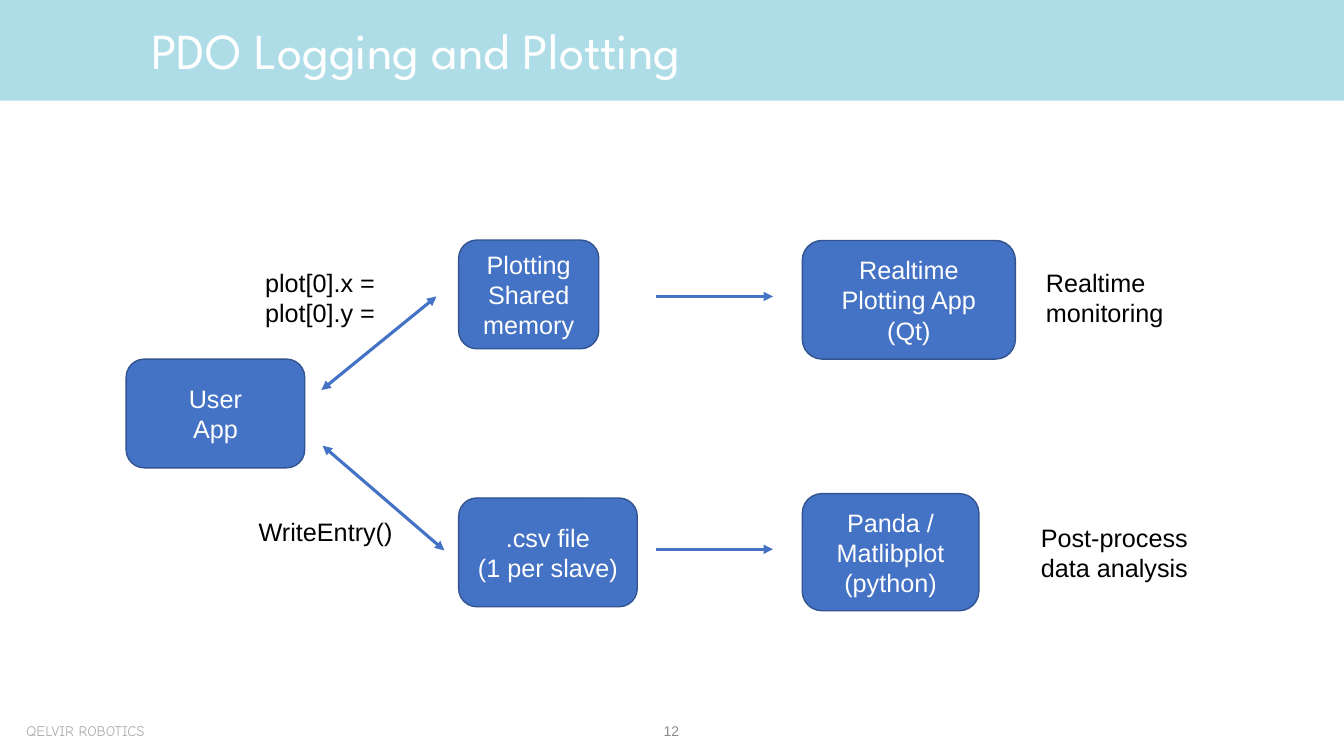
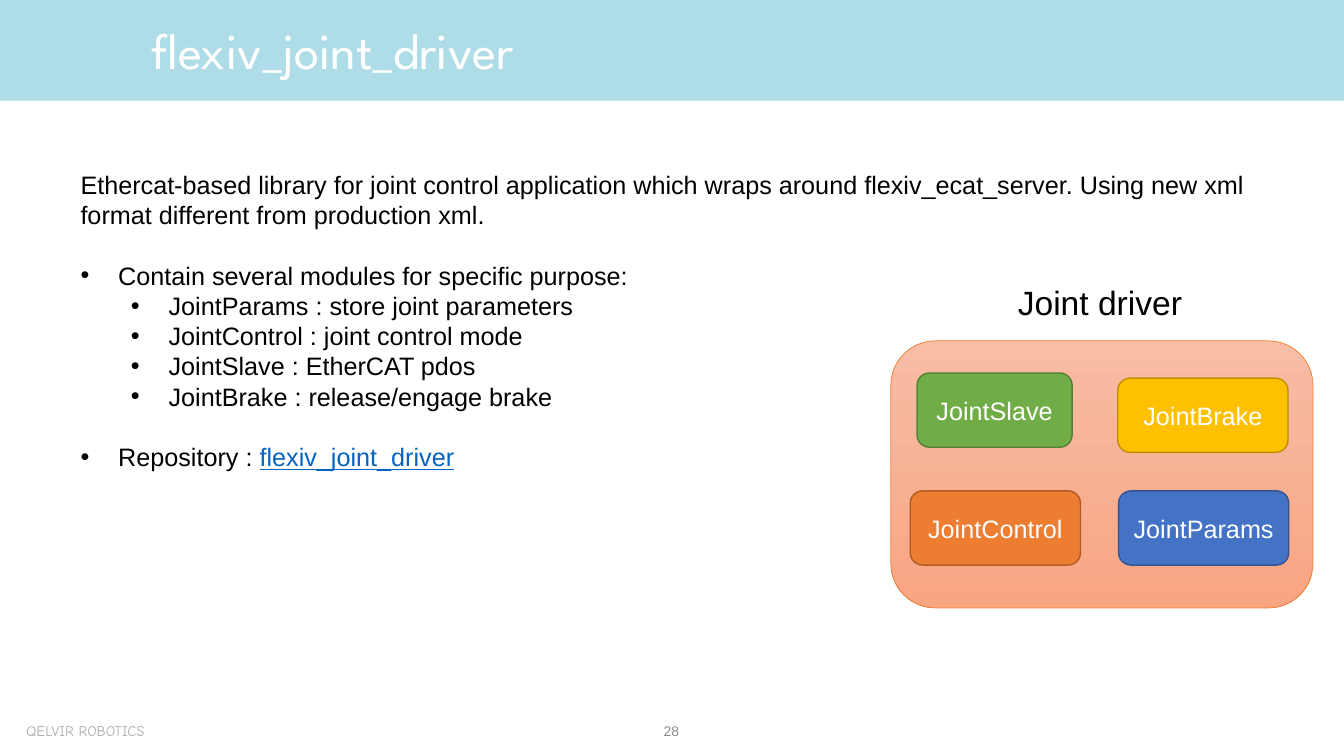
from dataclasses import dataclass

import pptx
import pptx.dml.color
import pptx.enum.shapes
import pptx.enum.text
import pptx.oxml
import pptx.oxml.ns
import pptx.util

Cm = pptx.util.Cm
Pt = pptx.util.Pt
Shapes = pptx.enum.shapes.MSO_SHAPE
Align = pptx.enum.text.PP_ALIGN
Anchor = pptx.enum.text.MSO_ANCHOR


@dataclass(frozen=True)
class Theme:
    body_font: str = "Arial"
    title_font: str = "League Spartan"
    footer_font: str = "Comic Neue"
    title_size: float = 36
    heading_size: float = 24
    body_size: float = 18
    footer_size: float = 10.5
    number_size: float = 10
    line_pitch: float = 21.6
    band: str = "AEDDE8"
    white: str = "FFFFFF"
    black: str = "000000"
    footer: str = "AFABAB"
    number: str = "8C8C8C"
    link: str = "0563C1"
    blue: str = "4472C4"
    blue_edge: str = "325491"
    green: str = "70AD47"
    green_edge: str = "538035"
    gold: str = "FFC000"
    gold_edge: str = "BD8E00"
    orange: str = "ED7D31"
    orange_edge: str = "AF5C24"
    panel_top: str = "F7BDA5"
    panel_bottom: str = "F8A582"


def rgb(color):
    return pptx.dml.color.RGBColor.from_string(color)


def add_element(parent, tag, **attributes):
    element = pptx.oxml.parse_xml(f"<a:{tag} {pptx.oxml.ns.nsdecls('a')}/>")
    for name, value in attributes.items():
        element.set(name, value)
    parent.append(element)


class Deck:
    width, height = 33.87, 19.05

    def __init__(self, theme):
        self.theme = theme
        self.presentation = pptx.Presentation()
        self.presentation.slide_width = Cm(self.width)
        self.presentation.slide_height = Cm(self.height)
        self.slide = None

    def start_slide(self, title, number):
        theme = self.theme
        layout = self.presentation.slide_layouts[6]
        self.slide = self.presentation.slides.add_slide(layout)
        self.shape(Shapes.RECTANGLE, (0, 0, self.width, 2.54), theme.band)
        self.text((3.56, 0.36, 17.25, 1.8), [title], theme.title_size,
                  theme.white, theme.title_font)
        self.text((0.41, 18.06, 4.47, 0.71), ["QELVIR ROBOTICS"],
                  theme.footer_size, theme.footer, theme.footer_font)
        frame = self.text((13.11, 17.91, 7.62, 1.02), [number],
                          theme.number_size, theme.number, align=Align.CENTER)
        frame.vertical_anchor = Anchor.MIDDLE

    def run(self, paragraph, text, size, color, font=None, underline=None):
        run = paragraph.add_run()
        run.text = text
        run.font.size = Pt(size)
        run.font.name = font or self.theme.body_font
        run.font.color.rgb = rgb(color)
        run.font.underline = underline

    def fill_frame(self, frame, lines, size, color, font=None, align=None):
        frame.word_wrap = True
        for index, line in enumerate(lines):
            paragraph = frame.add_paragraph() if index else frame.paragraphs[0]
            paragraph.alignment = align
            if size == self.theme.body_size:
                paragraph.line_spacing = Pt(self.theme.line_pitch)
            self.run(paragraph, line, size, color, font)

    def text(self, box, lines, size=None, color=None, font=None, align=None):
        frame = self.slide.shapes.add_textbox(*map(Cm, box)).text_frame
        self.fill_frame(frame, lines, size or self.theme.body_size,
                        color or self.theme.black, font, align)
        return frame

    def shape(self, kind, box, fill, edge=None, edge_width=1):
        shape = self.slide.shapes.add_shape(kind, *map(Cm, box))
        shape.shadow.inherit = False
        if isinstance(fill, tuple):
            shape.fill.gradient()
            shape.fill.gradient_angle = 270
            for stop, color in zip(shape.fill.gradient_stops, fill):
                stop.color.rgb = rgb(color)
        else:
            shape.fill.solid()
            shape.fill.fore_color.rgb = rgb(fill)
        if edge:
            shape.line.color.rgb = rgb(edge)
            shape.line.width = Pt(edge_width)
        else:
            shape.line.fill.background()
        return shape

    def node(self, kind, box, lines, fill, edge):
        frame = self.shape(kind, box, fill, edge).text_frame
        frame.vertical_anchor = Anchor.MIDDLE
        self.fill_frame(frame, lines, self.theme.body_size, self.theme.white,
                        align=Align.CENTER)

    def arrow(self, start, end, both_ways=False):
        connector = self.slide.shapes.add_connector(
            pptx.enum.shapes.MSO_CONNECTOR.STRAIGHT, *map(Cm, start + end))
        connector.line.color.rgb = rgb(self.theme.blue)
        connector.line.width = Pt(2.25)
        line = connector.line._get_or_add_ln()
        if both_ways:
            add_element(line, "headEnd", type="triangle")
        add_element(line, "tailEnd", type="triangle")
        add_element(connector._element.spPr, "effectLst")

    def bullet(self, frame, level, text, gap=False, link=None):
        theme = self.theme
        paragraph = frame.add_paragraph()
        paragraph.level = level
        paragraph.line_spacing = Pt(theme.line_pitch)
        paragraph.space_before = Pt(theme.line_pitch if gap else 0)
        properties = paragraph._p.get_or_add_pPr()
        properties.set("marL", str(Cm(0.95 + 1.27 * level)))
        properties.set("indent", str(-Cm(0.95)))
        add_element(properties, "buFont", typeface=theme.body_font)
        add_element(properties, "buChar", char="•")
        self.run(paragraph, text, theme.body_size, theme.black)
        if link:
            self.run(paragraph, link, theme.body_size, theme.link,
                     underline=True)


def build_logging_slide(deck):
    theme = deck.theme
    deck.start_slide("PDO Logging and Plotting", "12")
    nodes = [
        ((20.22, 6.06, 5.37, 2.99), ["Realtime Plotting App (Qt)"]),
        ((11.56, 6.05, 3.53, 2.74), ["Plotting", "Shared memory"]),
        ((3.18, 9.05, 4.5, 2.74), ["User", "App"]),
        ((11.56, 12.55, 4.5, 2.74), [".csv file", "(1 per slave)"]),
        ((20.22, 12.44, 4.45, 2.95), ["Panda / Matlibplot", "(python)"]),
    ]
    for box, lines in nodes:
        deck.node(Shapes.FLOWCHART_ALTERNATE_PROCESS, box, lines,
                  theme.blue, theme.blue_edge)
    deck.arrow((8.1, 9.83), (11, 7.47), both_ways=True)
    deck.arrow((8.13, 11.23), (11.2, 13.87), both_ways=True)
    for middle in (7.47, 13.84):
        deck.arrow((16.54, middle), (19.48, middle))
    labels = [
        ((6.43, 6.6, 4.32, 1.8), ["plot[0].x =", "plot[0].y ="]),
        ((6.27, 12.88, 4.32, 1.02), ["WriteEntry()"]),
        ((26.11, 6.6, 3.91, 1.8), ["Realtime monitoring"]),
        ((25.98, 13.03, 4.42, 1.8), ["Post-process data analysis"]),
    ]
    for box, lines in labels:
        deck.text(box, lines)


def build_driver_slide(deck):
    theme = deck.theme
    deck.start_slide("flexiv_joint_driver", "28")
    frame = deck.text((1.78, 4.14, 31.75, 8.2), [
        "Ethercat-based library for joint control application which wraps "
        "around flexiv_ecat_server. Using new xml format different from "
        "production xml."])
    deck.bullet(frame, 0, "Contain several modules for specific purpose:",
                gap=True)
    for module in ("JointParams : store joint parameters",
                   "JointControl : joint control mode",
                   "JointSlave : EtherCAT pdos",
                   "JointBrake : release/engage brake"):
        deck.bullet(frame, 1, module)
    deck.bullet(frame, 0, "Repository : ", gap=True,
                link="flexiv_joint_driver")
    deck.shape(Shapes.ROUNDED_RECTANGLE, (22.45, 8.59, 10.64, 6.73),
               (theme.panel_top, theme.panel_bottom), theme.orange, 0.5)
    modules = [
        ("JointSlave", 23.11, 9.4, 3.91, theme.green, theme.green_edge),
        ("JointBrake", 28.17, 9.53, 4.29, theme.gold, theme.gold_edge),
        ("JointControl", 22.94, 12.37, 4.29, theme.orange, theme.orange_edge),
        ("JointParams", 28.19, 12.37, 4.29, theme.blue, theme.blue_edge),
    ]
    for name, left, top, width, fill, edge in modules:
        deck.node(Shapes.ROUNDED_RECTANGLE, (left, top, width, 1.87), [name],
                  fill, edge)
    deck.text((25.4, 6.99, 7.9, 1.3), ["Joint driver"], theme.heading_size)


def main():
    deck = Deck(Theme())
    build_logging_slide(deck)
    build_driver_slide(deck)
    deck.presentation.save("out.pptx")


if __name__ == "__main__":
    main()
